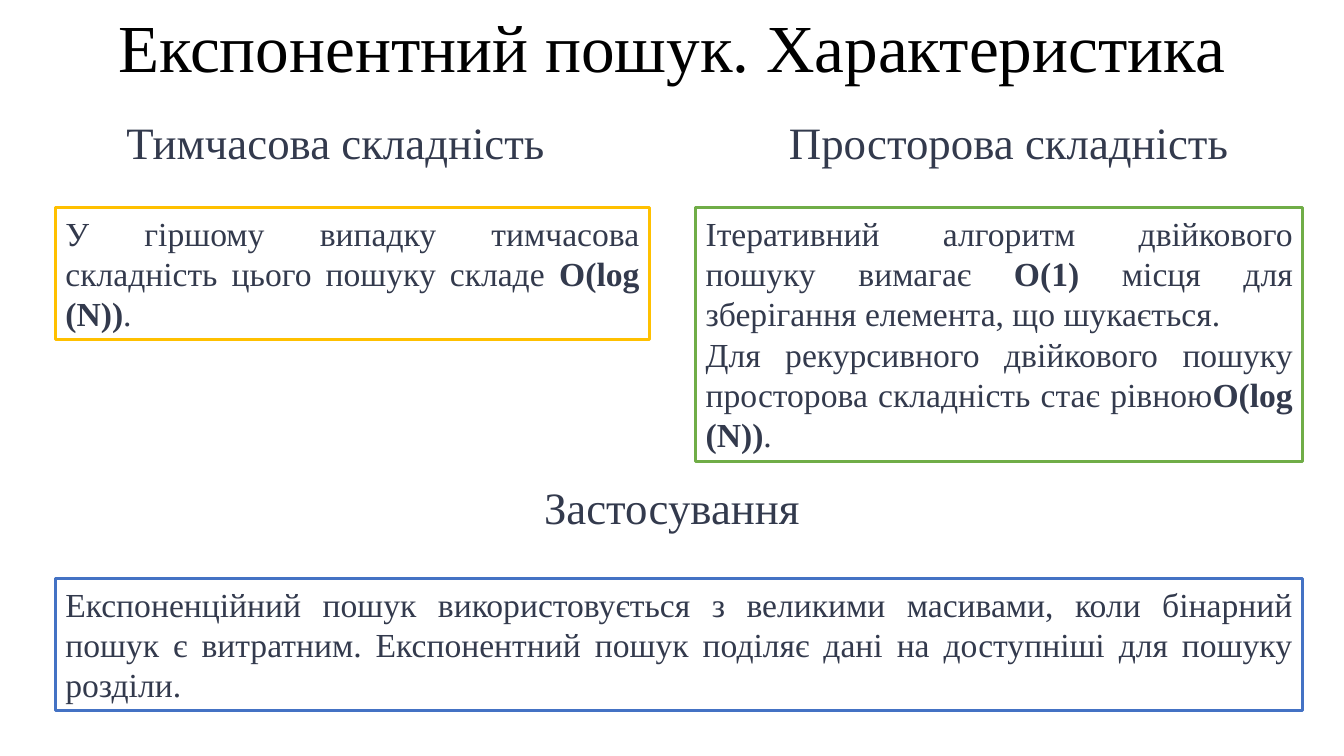
import pptx
import pptx.dml.color
import pptx.enum.shapes
import pptx.enum.text
import pptx.util

Inches = pptx.util.Inches
ALIGN = pptx.enum.text.PP_ALIGN
FONT = "Times New Roman"
SLATE = "333A4D"
SLIDE_WIDTH = 13.33


def color(value):
    return pptx.dml.color.RGBColor.from_string(value)


def write(shape, paragraphs, size, text_color, alignment):
    frame = shape.text_frame
    frame.word_wrap = True
    frame.vertical_anchor = pptx.enum.text.MSO_ANCHOR.TOP
    for index, runs in enumerate(paragraphs):
        paragraph = frame.add_paragraph() if index else frame.paragraphs[0]
        paragraph.alignment = alignment
        for text, bold in runs:
            run = paragraph.add_run()
            run.text = text
            run.font.name = FONT
            run.font.size = pptx.util.Pt(size)
            run.font.bold = bold
            run.font.color.rgb = color(text_color)


presentation = pptx.Presentation()
presentation.slide_width = Inches(SLIDE_WIDTH)
presentation.slide_height = Inches(7.5)
slide = presentation.slides.add_slide(presentation.slide_layouts[6])

headings = [
    ("Експонентний пошук. Характеристика", 0, 0, SLIDE_WIDTH, 0.91, 48, "000000"),
    ("Тимчасова складність", 0, 1.09, 6.66, 0.64, 32, SLATE),
    ("Просторова складність", 6.66, 1.09, 6.69, 0.64, 32, SLATE),
    ("Застосування", 0, 4.71, SLIDE_WIDTH, 0.64, 32, SLATE),
]
for text, left, top, width, height, size, text_color in headings:
    heading = slide.shapes.add_textbox(Inches(left), Inches(top), Inches(width), Inches(height))
    write(heading, [[(text, False)]], size, text_color, ALIGN.CENTER)

time_text = [
    [
        ("У гіршому випадку тимчасова складність цього пошуку складе ", False),
        ("O(log (N))", True),
        (".", False),
    ],
]
space_text = [
    [
        ("Ітеративний алгоритм двійкового пошуку вимагає ", False),
        ("O(1) ", True),
        ("місця для зберігання елемента, що шукається.", False),
    ],
    [
        ("Для рекурсивного двійкового пошуку просторова складність стає рівною", False),
        ("O(log (N))", True),
        (".", False),
    ],
]
usage_text = [
    [
        (
            "Експоненційний пошук використовується з великими масивами, "
            "коли бінарний пошук є витратним. Експонентний пошук поділяє "
            "дані на доступніші для пошуку розділи.",
            False,
        ),
    ],
]
boxes = [
    (time_text, 0.55, 2.06, 5.89, 1.31, "FFC000"),
    (space_text, 6.9, 2.06, 6.02, 2.52, "70AD47"),
    (usage_text, 0.55, 5.74, 12.37, 1.31, "4472C4"),
]
for paragraphs, left, top, width, height, line_color in boxes:
    box = slide.shapes.add_shape(
        pptx.enum.shapes.MSO_SHAPE.RECTANGLE,
        Inches(left), Inches(top), Inches(width), Inches(height),
    )
    box.shadow.inherit = False
    box.fill.background()
    box.line.color.rgb = color(line_color)
    box.line.width = pptx.util.Pt(2.25)
    write(box, paragraphs, 24, SLATE, ALIGN.JUSTIFY)

presentation.save("out.pptx")
